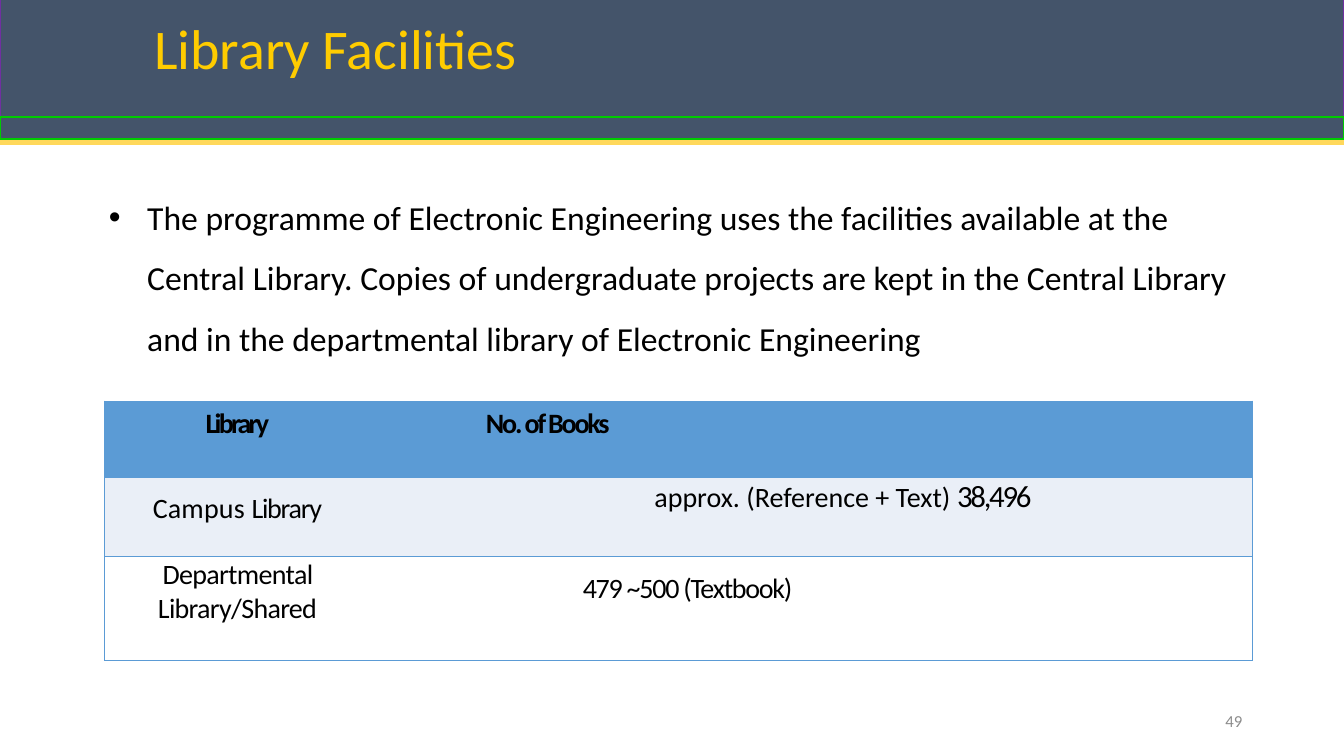
from lxml.etree import SubElement
from pptx import Presentation
from pptx.dml.color import RGBColor
from pptx.enum.shapes import MSO_CONNECTOR, MSO_SHAPE
from pptx.enum.text import MSO_ANCHOR, MSO_AUTO_SIZE, PP_ALIGN
from pptx.oxml.ns import qn
from pptx.util import Inches, Pt

COLOURS = {
    "slate": "44546A", "gold": "FFD85B", "heading": "FFCC00",
    "purple": "7030A0", "green": "00CC00", "blue": "5B9BD5",
    "pale": "EAEFF7", "white": "FFFFFF", "black": "000000", "grey": "8C8C8C",
}
PLAIN_TABLE = "{2D5ABB26-0587-4C30-8999-92F81FD0307C}"


def colour(name):
    return RGBColor.from_string(COLOURS[name])


def apply(target, **values):
    for name, value in values.items():
        setattr(target, name, value)


class SlideBuilder:
    font = "Calibri"

    def __init__(self, slide):
        self.slide = slide
        self.shapes = slide.shapes

    def add_text(self, paragraph, text, size, tint, spacing=0, bold=False):
        run = paragraph.add_run()
        run.text = text
        apply(run.font, name=self.font, size=Pt(size), bold=bold)
        run.font.color.rgb = colour(tint)
        if spacing:
            run._r.get_or_add_rPr().set("spc", str(round(spacing * 100)))

    def place(self, shape, box, anchor):
        left, top, width, height = map(Inches, box)
        apply(shape, left=left, top=top, width=width, height=height)
        apply(shape.text_frame, word_wrap=True, vertical_anchor=anchor,
              auto_size=MSO_AUTO_SIZE.NONE)
        return shape.text_frame.paragraphs[0]

    def title(self, text, box):
        heading = self.shapes.title
        self.shapes._spTree.append(heading._element)  # in front of the bands
        paragraph = self.place(heading, box, MSO_ANCHOR.MIDDLE)
        apply(paragraph, alignment=PP_ALIGN.LEFT, line_spacing=0.9)
        self.add_text(paragraph, text, 40, "heading")

    def bullet(self, text, box):
        paragraph = self.place(self.slide.placeholders[1], box, MSO_ANCHOR.TOP)
        properties = paragraph._p.get_or_add_pPr()
        properties.set("marL", str(Inches(1)))
        properties.set("indent", str(Inches(-0.38)))
        SubElement(properties, qn("a:buFont"), typeface="Arial")
        SubElement(properties, qn("a:buChar"), char="•")
        apply(paragraph, line_spacing=1.5, space_before=Pt(0))
        self.add_text(paragraph, text, 24, "black")

    def label(self, text, box):
        paragraph = self.place(self.shapes.add_textbox(0, 0, 0, 0), box,
                               MSO_ANCHOR.MIDDLE)
        paragraph.alignment = PP_ALIGN.RIGHT
        self.add_text(paragraph, text, 12, "grey")

    def band(self, box, edge):
        band = self.shapes.add_shape(MSO_SHAPE.RECTANGLE, *map(Inches, box))
        band.shadow.inherit = False
        band.fill.solid()
        band.fill.fore_color.rgb = colour("slate")
        band.line.color.rgb = colour(edge)
        band.line.width = Pt(1)

    def rule(self, y, width, tint, weight):
        rule = self.shapes.add_connector(
            MSO_CONNECTOR.STRAIGHT, 0, Inches(y), Inches(width), Inches(y))
        rule.line.color.rgb = colour(tint)
        rule.line.width = Pt(weight)
        SubElement(rule._element.spPr, qn("a:effectLst"))

    def border(self, cell, sides):
        properties = cell._tc.get_or_add_tcPr()
        for side in sides:
            line = SubElement(properties, qn(f"a:ln{side}"), w=str(Pt(1)))
            fill = SubElement(line, qn("a:solidFill"))
            SubElement(fill, qn("a:srgbClr"), val=COLOURS["blue"])

    def table(self, box, widths, heights, rows):
        table = self.shapes.add_table(
            len(heights), len(widths), *map(Inches, box)).table
        apply(table, first_row=False, horz_banding=False)
        table._tbl.tblPr.find(qn("a:tableStyleId")).text = PLAIN_TABLE
        for column, width in zip(table.columns, widths):
            column.width = Inches(width)
        for r, (height, (fill, cells)) in enumerate(zip(heights, rows)):
            table.rows[r].height = Inches(height)
            for c, (top, indent, runs) in enumerate(cells):
                cell = table.cell(r, c)
                self.border(cell, "LTB" if c == 0 else "RTB")
                cell.fill.solid()
                cell.fill.fore_color.rgb = colour(fill)
                apply(cell, margin_left=Inches(indent), margin_right=0,
                      margin_top=Inches(top), margin_bottom=0)
                paragraph = cell.text_frame.paragraphs[0]
                paragraph.alignment = PP_ALIGN.LEFT if c else PP_ALIGN.CENTER
                for text, size, spacing in runs:
                    self.add_text(paragraph, text, size, "black", spacing, r == 0)


def main():
    deck = Presentation()
    apply(deck, slide_width=Inches(13.33), slide_height=Inches(7.5))
    page = SlideBuilder(deck.slides.add_slide(deck.slide_layouts[1]))

    # Body text
    page.bullet(
        "The programme of Electronic Engineering uses the facilities available "
        "at the Central Library. Copies of undergraduate projects are kept in "
        "the Central Library and in the departmental library of Electronic "
        "Engineering", (0.36, 1.7, 12.32, 1.85))

    # Book counts: each cell is top margin, left margin, runs
    page.table((1.04, 3.98, 11.38, 2.57), (2.63, 8.75), (0.76, 0.78, 1.03), [
        ("blue", [(0.06, 0, [("Library", 20, -2)]),
                  (0.06, 1.15, [("No. of Books", 20, -1.6)])]),
        ("pale", [(0.14, 0, [("Campus ", 20, 0.1), ("Library", 20, -0.9)]),
                  (0, 2.82, [("approx. (Reference + Text) ", 20, 0),
                             ("38,496", 22, -1.6)])]),
        ("white", [(0.01, 0, [("Departmental Library/Shared", 20, -0.5)]),
                   (0.15, 2.11, [("479 ~500 (Textbook)", 20, -0.9)])]),
    ])

    # Header bands and title
    page.rule(1.41, 13.33, "gold", 3.75)
    page.band((0, -0.02, 13.33, 1.2), "purple")
    page.band((0, 1.16, 13.33, 0.22), "green")
    page.title("Library Facilities", (1.43, -0.02, 10.73, 1.06))

    # Page number
    page.label("49", (9.42, 6.95, 3, 0.4))
    deck.save("out.pptx")


if __name__ == "__main__":
    main()
